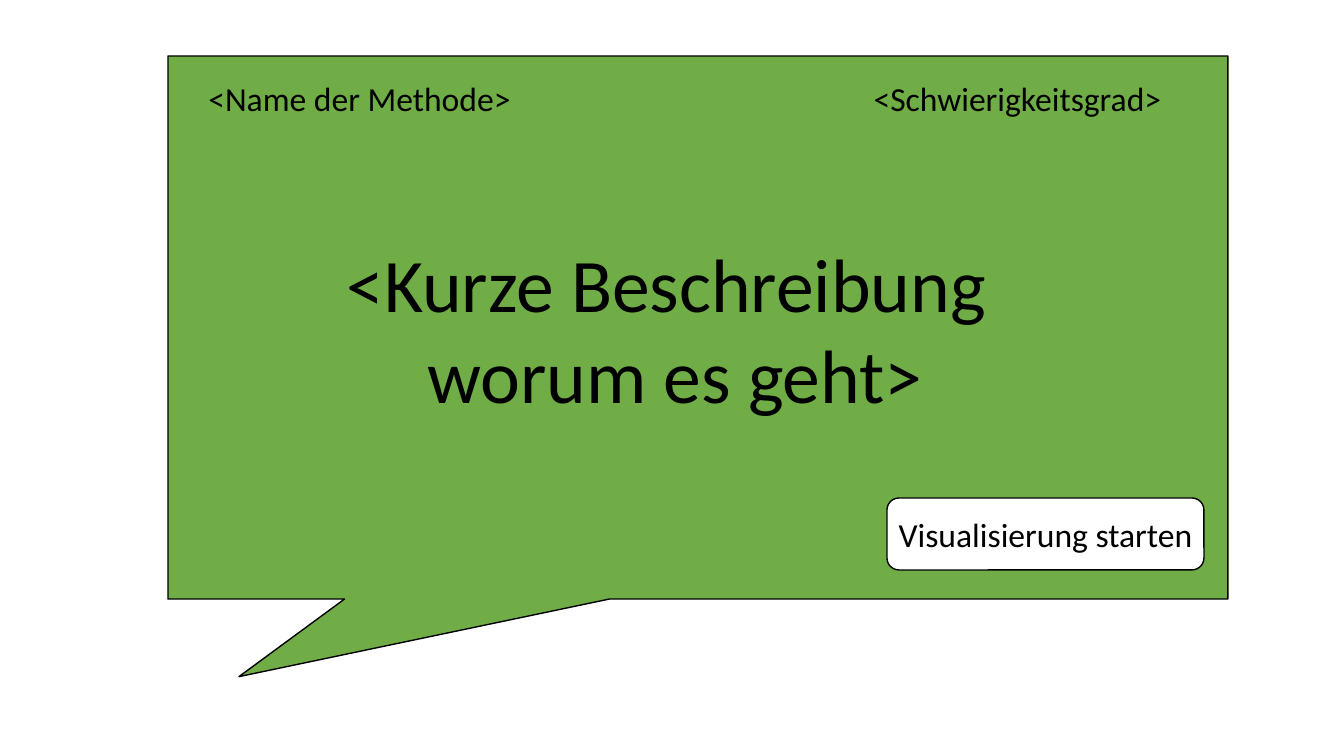
from pptx import Presentation
from pptx import util as u
from pptx.dml.color import RGBColor
from pptx.enum import shapes, text

PX = u.Inches(1) / 100.8
BLACK = RGBColor(0x00, 0x00, 0x00)
WHITE = RGBColor(0xFF, 0xFF, 0xFF)
GREEN = RGBColor(0x70, 0xAD, 0x47)


def px(*lengths):
    """Turn pixel lengths into EMU."""
    return [u.Emu(round(n * PX)) for n in lengths]


def add_outlined(s, kind, box, fill):
    """Add a filled preset shape with a thin black outline."""
    sp = s.shapes.add_shape(kind, *px(*box))
    sp.shadow.inherit = False
    sp.fill.solid()
    sp.fill.fore_color.rgb = fill
    sp.line.color.rgb = BLACK
    sp.line.width = u.Pt(1)
    return sp


def add_label(s, box, lines, size=24):
    """Add centred, unwrapped text with one paragraph per line."""
    tf = s.shapes.add_textbox(*px(*box)).text_frame
    tf.word_wrap = False
    tf.auto_size = text.MSO_AUTO_SIZE.SHAPE_TO_FIT_TEXT
    tf.text = "\n".join(lines)
    for p in tf.paragraphs:
        p.alignment = text.PP_ALIGN.CENTER
        p.font.name = "Calibri"
        p.font.size = u.Pt(size)
        p.font.color.rgb = BLACK


def main():
    """Build the method card and save it."""
    prs = Presentation()
    prs.slide_width, prs.slide_height = px(1344, 756)
    s = prs.slides.add_slide(prs.slide_layouts[6])

    callout = add_outlined(s, shapes.MSO_SHAPE.RECTANGULAR_CALLOUT,
                           (168, 56, 1060, 543), GREEN)
    callout.adjustments[0] = -0.433
    callout.adjustments[1] = 0.643

    add_label(s, (862, 73, 311, 50), ["<Schwierigkeitsgrad>"])
    add_label(s, (197, 73, 325, 50), ["<Name der Methode>"])
    add_label(s, (333, 232, 684, 193),
              ["<Kurze Beschreibung ", "worum es geht>"], size=54)

    add_outlined(s, shapes.MSO_SHAPE.ROUNDED_RECTANGLE,
                 (887, 498, 317, 72), WHITE)
    add_label(s, (887, 509, 317, 50), ["Visualisierung starten"])

    prs.save("out.pptx")


main()
